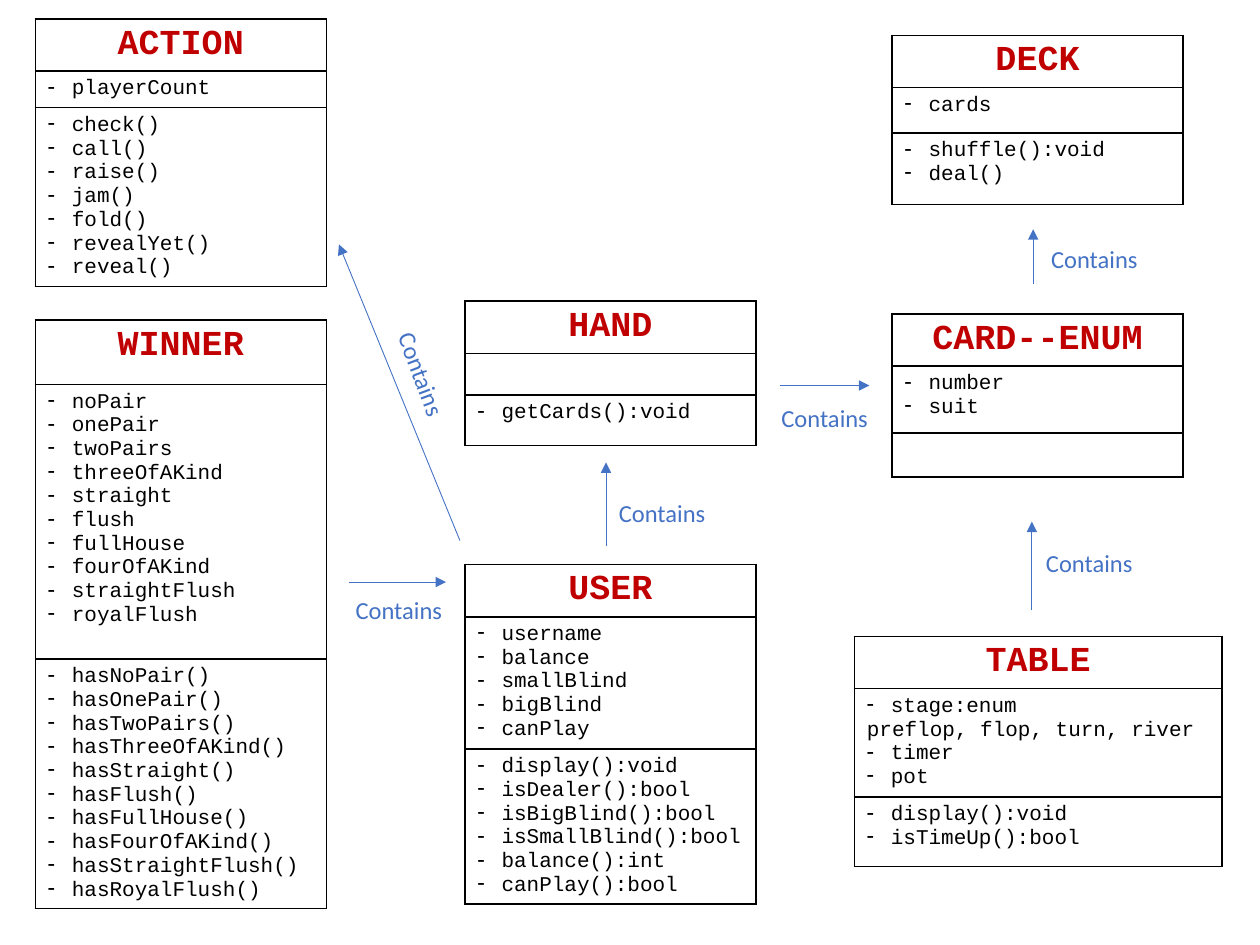
from lxml import etree
from pptx import Presentation
from pptx.dml.color import RGBColor
from pptx.enum.shapes import MSO_CONNECTOR
from pptx.enum.text import MSO_AUTO_SIZE, PP_ALIGN
from pptx.oxml.ns import qn
from pptx.util import Inches, Pt

STRAIGHT = MSO_CONNECTOR.STRAIGHT
CENTER = PP_ALIGN.CENTER
LEFT = PP_ALIGN.LEFT
GROW = MSO_AUTO_SIZE.SHAPE_TO_FIT_TEXT
BLACK, WHITE, RED, BLUE = "000000", "FFFFFF", "C00000", "4472C4"
CODE_FONT, LABEL_FONT = "Courier New", "Calibri"
INDENT = 0.19
HEADER_HEIGHT = 0.41
LABEL_SIZE = (0.89, 0.34)
PLAIN_LINES = ["preflop, flop, turn, river"]

CLASSES = [
    {"name": "USER", "at": (3.69, 4.48), "width": 2.31, "heights": (HEADER_HEIGHT, 1.05, 1.23),
     "fields": ["username", "balance", "smallBlind", "bigBlind", "canPlay"],
     "methods": ["display():void", "isDealer():bool", "isBigBlind():bool",
                 "isSmallBlind():bool", "balance():int", "canPlay():bool"]},
    {"name": "CARD--ENUM", "at": (7.08, 2.49), "width": 2.31, "heights": (HEADER_HEIGHT, 0.53, 0.35),
     "fields": ["number", "suit"], "methods": []},
    {"name": "DECK", "at": (7.08, 0.28), "width": 2.31, "heights": (HEADER_HEIGHT, 0.36, 0.57),
     "fields": ["cards"], "methods": ["shuffle():void", "deal()"]},
    {"name": "WINNER", "at": (0.28, 2.54), "width": 2.31, "heights": (0.51, 2.18, 1.98),
     "fields": ["noPair", "onePair", "twoPairs", "threeOfAKind", "straight", "flush",
                "fullHouse", "fourOfAKind", "straightFlush", "royalFlush"],
     "methods": ["hasNoPair()", "hasOnePair()", "hasTwoPairs()", "hasThreeOfAKind()",
                 "hasStraight()", "hasFlush()", "hasFullHouse()", "hasFourOfAKind()",
                 "hasStraightFlush()", "hasRoyalFlush()"]},
    {"name": "HAND", "at": (3.69, 2.39), "width": 2.31, "heights": (HEADER_HEIGHT, 0.33, 0.4),
     "fields": [], "methods": ["getCards():void"]},
    {"name": "ACTION", "at": (0.28, 0.15), "width": 2.31, "heights": (HEADER_HEIGHT, 0.29, 1.42),
     "fields": ["playerCount"],
     "methods": ["check()", "call()", "raise()", "jam()", "fold()", "revealYet()", "reveal()"]},
    {"name": "TABLE", "at": (6.78, 5.05), "width": 2.92, "heights": (HEADER_HEIGHT, 0.86, 0.55),
     "fields": ["stage:enum", "preflop, flop, turn, river", "timer", "pot"],
     "methods": ["display():void", "isTimeUp():bool"]},
]

RELATIONS = [
    {"start": (8.2, 2.25), "end": (8.2, 1.82), "label": (8.24, 1.89)},
    {"start": (8.19, 4.84), "end": (8.19, 4.14), "label": (8.2, 4.3)},
    {"start": (4.81, 4.33), "end": (4.81, 3.67), "label": (4.81, 3.9)},
    {"start": (6.19, 3.06), "end": (6.9, 3.06), "label": (6.1, 3.15)},
    {"start": (2.77, 4.62), "end": (3.54, 4.62), "label": (2.72, 4.67)},
    {"start": (3.65, 4.29), "end": (2.69, 1.94), "label": (2.9, 2.8), "rotation": 69.5},
]


def rgb(color):
    """Turn a hex string into a colour."""
    return RGBColor.from_string(color)


def add_text(frame, lines, font=CODE_FONT, size=12, color=BLACK, bold=False, align=LEFT, bullets=False):
    """Write the lines as paragraphs in one format."""
    for index, line in enumerate(lines):
        paragraph = frame.paragraphs[0] if index == 0 else frame.add_paragraph()
        paragraph.alignment = align
        if bullets and line not in PLAIN_LINES:
            properties = paragraph._p.get_or_add_pPr()
            properties.set("marL", str(Inches(INDENT)))
            properties.set("indent", str(-Inches(INDENT)))
            etree.SubElement(properties, qn("a:buChar"), char="-")
        run = paragraph.add_run()
        run.text = line
        run.font.name = font
        run.font.size = Pt(size)
        run.font.bold = bold
        run.font.color.rgb = rgb(color)
    if not lines:
        etree.SubElement(frame.paragraphs[0]._p, qn("a:endParaRPr"), sz=str(size * 100))


def format_cell(cell):
    """Give a cell a white fill and a thin black border."""
    cell.fill.solid()
    cell.fill.fore_color.rgb = rgb(WHITE)
    properties = cell._tc.get_or_add_tcPr()
    for index, side in enumerate(("lnL", "lnR", "lnT", "lnB")):
        border = etree.Element(qn(f"a:{side}"), w=str(Pt(1)))
        fill = etree.SubElement(border, qn("a:solidFill"))
        etree.SubElement(fill, qn("a:srgbClr"), val=BLACK)
        properties.insert(index, border)


def add_class(slide, entry):
    """Draw one class as a table of name, fields and methods."""
    heights = entry["heights"]
    left, top = entry["at"]
    frame = slide.shapes.add_table(
        len(heights), 1, Inches(left), Inches(top), Inches(entry["width"]), Inches(sum(heights)))
    table = frame.table
    table.first_row = False
    table.horz_banding = False
    for index, height in enumerate(heights):
        table.rows[index].height = Inches(height)
        format_cell(table.cell(index, 0))
    add_text(table.cell(0, 0).text_frame, [entry["name"]], size=20, color=RED, bold=True, align=CENTER)
    for index, part in enumerate(("fields", "methods"), start=1):
        add_text(table.cell(index, 0).text_frame, entry[part], bullets=True)


def add_relation(slide, entry):
    """Draw one arrow and its label."""
    points = [Inches(value) for value in entry["start"] + entry["end"]]
    connector = slide.shapes.add_connector(STRAIGHT, *points)
    connector.line.color.rgb = rgb(BLUE)
    connector.line.width = Pt(0.5)
    etree.SubElement(connector.line._get_or_add_ln(), qn("a:tailEnd"), type="triangle")
    etree.SubElement(connector._element.spPr, qn("a:effectLst"))
    box = slide.shapes.add_textbox(*[Inches(value) for value in entry["label"] + LABEL_SIZE])
    box.rotation = entry.get("rotation", 0)
    box.text_frame.word_wrap = False
    box.text_frame.auto_size = GROW
    add_text(box.text_frame, ["Contains"], font=LABEL_FONT, size=14, color=BLUE, align=CENTER)


def main():
    """Build the class diagram slide."""
    presentation = Presentation()
    presentation.slide_width = Inches(10)
    presentation.slide_height = Inches(7.5)
    slide = presentation.slides.add_slide(presentation.slide_layouts[6])
    for entry in CLASSES:
        add_class(slide, entry)
    for entry in RELATIONS:
        add_relation(slide, entry)
    presentation.save("out.pptx")


if __name__ == "__main__":
    main()
